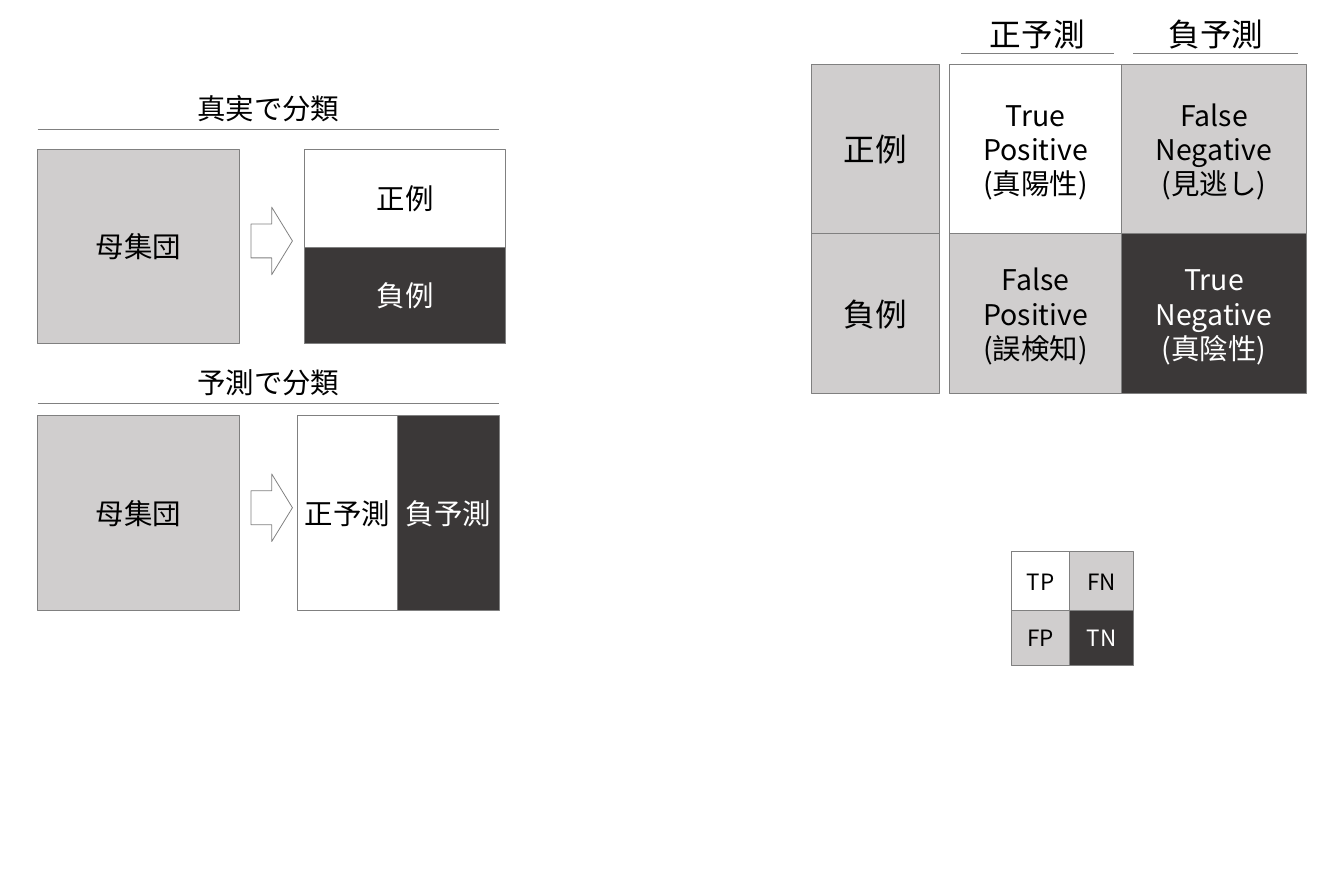
from itertools import accumulate

from pptx import Presentation
from pptx.dml.color import RGBColor
from pptx.enum.shapes import MSO_CONNECTOR, MSO_SHAPE
from pptx.enum.text import MSO_ANCHOR, MSO_AUTO_SIZE, PP_ALIGN
from pptx.oxml.ns import qn
from pptx.util import Pt

RECT = MSO_SHAPE.RECTANGLE
ARROW = MSO_SHAPE.RIGHT_ARROW
STRAIGHT = MSO_CONNECTOR.STRAIGHT
MIDDLE = MSO_ANCHOR.MIDDLE
GROW = MSO_AUTO_SIZE.SHAPE_TO_FIT_TEXT
CENTER = PP_ALIGN.CENTER

SCALE = 9144
FONT = "Noto Sans CJK JP"
COLORS = {
    "white": "FFFFFF",
    "gray": "D0CECE",
    "dark": "3B3838",
    "line": "808080",
    "black": "000000",
}


def px(*lengths):
    return [n * SCALE for n in lengths]


def color(name):
    return RGBColor.from_string(COLORS[name])


def write(tf, lines, size, ink):
    tf.word_wrap = True
    for i, line in enumerate(lines):
        p = tf.add_paragraph() if i else tf.paragraphs[0]
        p.alignment = CENTER
        r = p.add_run()
        r.text = line
        r.font.size = Pt(size)
        r.font.name = FONT
        r.font.color.rgb = color(ink)
        ea = r.font._element.makeelement(qn("a:ea"), {"typeface": FONT})
        r.font._element.append(ea)


def add_box(s, kind, box, fill, lines=(), size=36):
    sp = s.shapes.add_shape(kind, *px(*box))
    sp.shadow.inherit = False
    sp.fill.solid()
    sp.fill.fore_color.rgb = color(fill)
    sp.line.color.rgb = color("line")
    sp.line.width = Pt(1)
    sp.text_frame.vertical_anchor = MIDDLE
    write(sp.text_frame, lines, size, "white" if fill == "dark" else "black")


def add_grid(s, x, y, widths, heights, cells, size):
    lefts = accumulate(widths, initial=x)
    tops = accumulate(heights, initial=y)
    slots = [(left, w) for left, w in zip(lefts, widths)]
    rows = [(top, h) for top, h in zip(tops, heights)]
    places = [(left, top, w, h) for top, h in rows for left, w in slots]
    for place, (fill, *lines) in zip(places, cells):
        add_box(s, RECT, place, fill, lines, size)


def add_heading(s, x, rule_y, width, text, size):
    tb = s.shapes.add_textbox(*px(x, rule_y - 72, width, 72))
    write(tb.text_frame, [text], size, "black")
    tb.text_frame.auto_size = GROW
    rule = s.shapes.add_connector(STRAIGHT, *px(x, rule_y, x + width, rule_y))
    rule.line.color.rgb = color("line")
    rule.line.width = Pt(2)
    sp_pr = rule._element.spPr
    sp_pr.append(sp_pr.makeelement(qn("a:effectLst"), {}))


def add_classification(s, x, rule_y, y, title, split_x, widths, heights, cells):
    add_heading(s, x, rule_y, 811, title, 36)
    add_box(s, RECT, (x, y, 354, 342), "gray", ["母集団"])
    add_box(s, ARROW, (x + 375, y + 102, 73, 119), "white")
    add_grid(s, x + split_x, y, widths, heights, cells, 36)


def add_confusion_matrix(s, x, y):
    heights = [298, 281]
    add_heading(s, x + 263, y - 19, 268, "正予測", 40)
    add_heading(s, x + 566, y - 19, 290, "負予測", 40)
    add_grid(s, x, y, [225], heights, [("gray", "正例"), ("gray", "負例")], 40)
    cells = [
        ("white", "True Positive", "(真陽性)"),
        ("gray", "False", "Negative", "(見逃し)"),
        ("gray", "False", "Positive", "(誤検知)"),
        ("dark", "True", "Negative", "(真陰性)"),
    ]
    add_grid(s, x + 243, y, [302, 325], heights, cells, 36)


def add_small_matrix(s, x, y):
    cells = [("white", "TP"), ("gray", "FN"), ("gray", "FP"), ("dark", "TN")]
    add_grid(s, x, y, [103, 112], [103, 97], cells, 28.4)


def main():
    prs = Presentation()
    prs.slide_width, prs.slide_height = px(2362, 1575)
    s = prs.slides.add_slide(prs.slide_layouts[6])
    add_classification(s, 66, 228, 262, "真実で分類", 469, [354], [173, 169],
                       [("white", "正例"), ("dark", "負例")])
    add_classification(s, 66, 709, 731, "予測で分類", 457, [176, 178], [342],
                       [("white", "正予測"), ("dark", "負予測")])
    add_confusion_matrix(s, 1426, 113)
    add_small_matrix(s, 1777, 970)
    prs.save("out.pptx")


if __name__ == "__main__":
    main()
